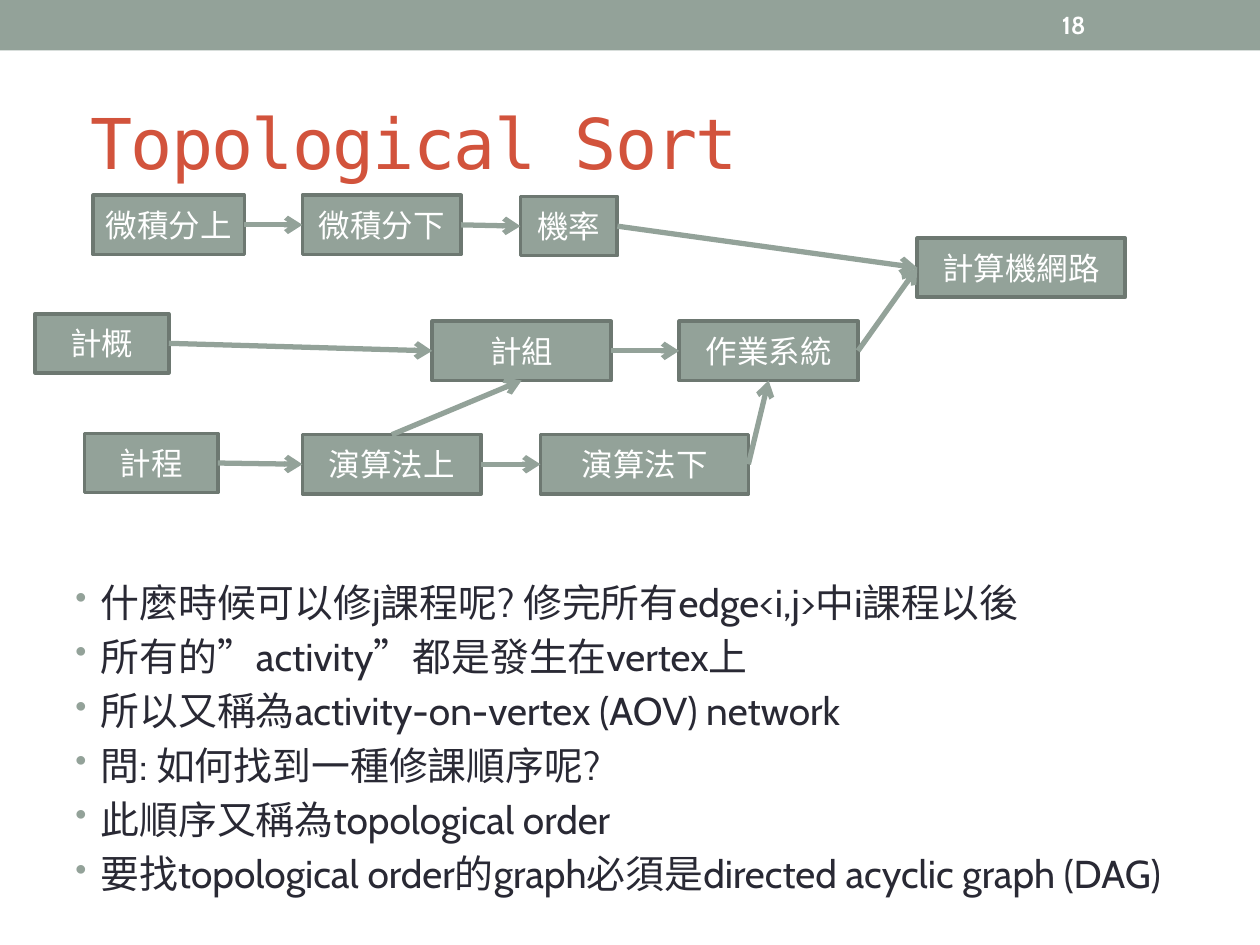
from lxml import etree
from pptx import Presentation
from pptx import util as u
from pptx.dml.color import RGBColor
from pptx.enum import shapes, text
from pptx.oxml.ns import qn

SAGE = RGBColor(0x93, 0xA2, 0x99)
DARK_SAGE = RGBColor(0x6D, 0x78, 0x71)
RED = RGBColor(0xD2, 0x53, 0x3C)
INK = RGBColor(0x29, 0x29, 0x34)
WHITE = RGBColor(0xFF, 0xFF, 0xFF)
TOP, LEFT, BOTTOM, RIGHT = range(4)


def style(paragraph, size, color, name="Cabin", bold=False):
    font = paragraph.font
    font.size, font.name, font.bold = u.Pt(size), name, bold
    font.color.rgb = color


def add_text_box(left, top, width, height, anchor):
    box = slide.shapes.add_textbox(*map(u.Inches, (left, top, width, height)))
    frame = box.text_frame
    frame.word_wrap = True
    frame.vertical_anchor = anchor
    return frame


presentation = Presentation()
presentation.slide_width, presentation.slide_height = u.Inches(10), u.Inches(7.5)
slide = presentation.slides.add_slide(presentation.slide_layouts[6])

# Top band
band = slide.shapes.add_shape(shapes.MSO_SHAPE.RECTANGLE, 0, 0, u.Inches(10), u.Inches(0.4))
band.shadow.inherit = False
band.fill.solid()
band.fill.fore_color.rgb = SAGE
band.line.fill.background()

# Title
title = add_text_box(0.62, 0.58, 9, 1.08, text.MSO_ANCHOR.MIDDLE).paragraphs[0]
title_run = title.add_run()
title_run.text = "Topological Sort"
title_run._r.get_or_add_rPr().set("spc", "-100")
style(title, 40, RED, "DejaVu Sans Mono")

# Bullets
notes = [
    "什麼時候可以修j課程呢? 修完所有edge<i,j>中i課程以後",
    "所有的”activity”都是發生在vertex上",
    "所以又稱為activity-on-vertex (AOV) network",
    "問: 如何找到一種修課順序呢?",
    "此順序又稱為topological order",
    "要找topological order的graph必須是directed acyclic graph (DAG)",
]
body = add_text_box(0.5, 4.54, 9, 2.55, text.MSO_ANCHOR.TOP)
for index, note in enumerate(notes):
    paragraph = body.paragraphs[0] if index == 0 else body.add_paragraph()
    paragraph.text = note
    paragraph.space_before = u.Pt(4.4)
    style(paragraph, 22.2, INK)
    properties = paragraph._p.get_or_add_pPr()
    properties.set("marL", str(u.Inches(0.2)))
    properties.set("indent", str(-u.Inches(0.2)))
    bullet_color = etree.Element(qn("a:buClr"))
    etree.SubElement(bullet_color, qn("a:srgbClr"), val=str(SAGE))
    bullet_size = etree.Element(qn("a:buSzPct"), val="85000")
    bullet = etree.Element(qn("a:buChar"), char="•")
    default_font = properties.find(qn("a:defRPr"))
    for element in (bullet_color, bullet_size, bullet):
        default_font.addprevious(element)

# Slide number
number = add_text_box(8.33, 0.02, 1.17, 0.36, text.MSO_ANCHOR.MIDDLE).paragraphs[0]
number.text = "18"
style(number, 14, WHITE, bold=True)

# Courses: name, left, top, width
courses = [
    ("計程", 0.67, 3.44, 1.06),
    ("演算法上", 2.4, 3.45, 1.42),
    ("演算法下", 4.29, 3.45, 1.65),
    ("計概", 0.28, 2.49, 1.06),
    ("作業系統", 5.39, 2.55, 1.42),
    ("計算機網路", 7.28, 1.89, 1.65),
    ("機率", 4.13, 1.56, 0.77),
    ("微積分上", 0.74, 1.55, 1.2),
    ("微積分下", 2.4, 1.55, 1.26),
    ("計組", 3.43, 2.55, 1.42),
]
boxes = {}
for name, left, top, width in courses:
    shape = slide.shapes.add_shape(
        shapes.MSO_SHAPE.RECTANGLE, *map(u.Inches, (left, top, width, 0.47)))
    shape.shadow.inherit = False
    shape.fill.solid()
    shape.fill.fore_color.rgb = SAGE
    shape.line.color.rgb = DARK_SAGE
    shape.line.width = u.Pt(2.08)
    frame = shape.text_frame
    frame.word_wrap = True
    frame.vertical_anchor = text.MSO_ANCHOR.MIDDLE
    paragraph = frame.paragraphs[0]
    paragraph.text = name
    paragraph.alignment = text.PP_ALIGN.CENTER
    style(paragraph, 18, WHITE)
    boxes[name] = shape

# Prerequisite arrows
prerequisites = [
    ("微積分上", RIGHT, "微積分下", LEFT),
    ("微積分下", RIGHT, "機率", LEFT),
    ("機率", RIGHT, "計算機網路", LEFT),
    ("作業系統", RIGHT, "計算機網路", LEFT),
    ("計概", RIGHT, "計組", LEFT),
    ("計程", RIGHT, "演算法上", LEFT),
    ("演算法上", TOP, "計組", BOTTOM),
    ("計組", RIGHT, "作業系統", LEFT),
    ("演算法上", RIGHT, "演算法下", LEFT),
    ("演算法下", RIGHT, "作業系統", BOTTOM),
]
for source, source_side, target, target_side in prerequisites:
    arrow = slide.shapes.add_connector(shapes.MSO_CONNECTOR.STRAIGHT, 0, 0, 0, 0)
    arrow.begin_connect(boxes[source], source_side)
    arrow.end_connect(boxes[target], target_side)
    arrow.line.color.rgb = SAGE
    arrow.line.width = u.Pt(3)
    etree.SubElement(arrow.line._get_or_add_ln(), qn("a:tailEnd"), type="arrow")
    etree.SubElement(arrow._element.spPr, qn("a:effectLst"))

presentation.save("out.pptx")
